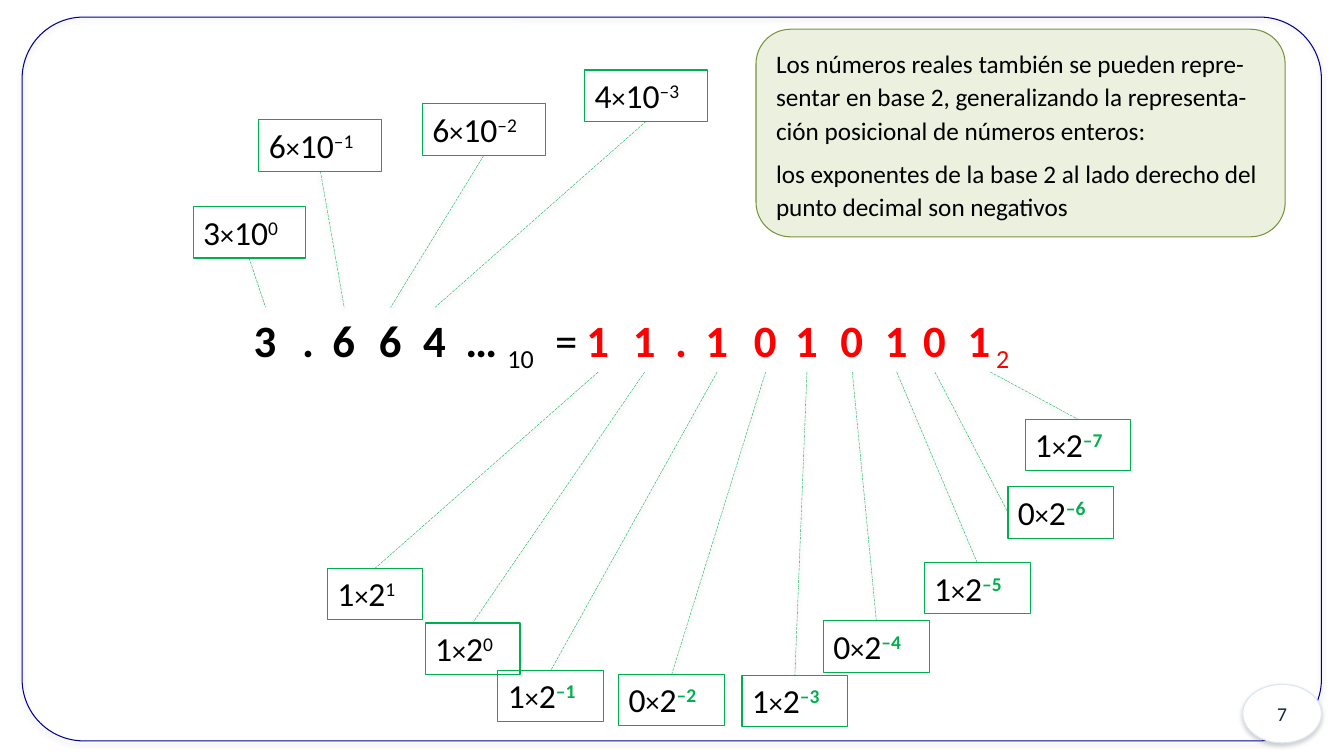
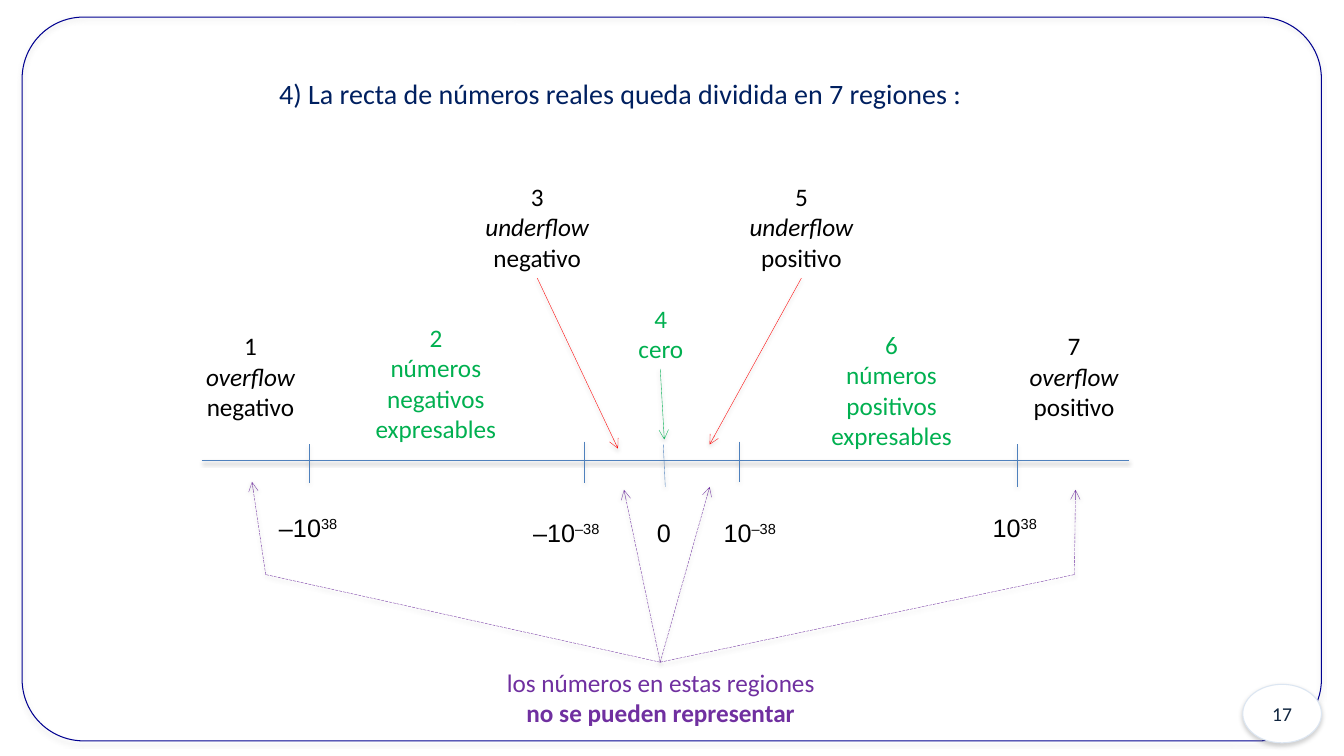
from dataclasses import dataclass

from lxml.etree import SubElement
from pptx import Presentation
from pptx.dml.color import RGBColor
from pptx.enum.dml import MSO_LINE
from pptx.enum.shapes import MSO_CONNECTOR, MSO_SHAPE
from pptx.enum.text import MSO_ANCHOR, MSO_AUTO_SIZE, PP_ALIGN
from pptx.oxml.ns import qn
from pptx.util import Pt


@dataclass(frozen=True)
class Theme:
    """Colours, fonts, type sizes and line weights of the deck."""

    black: str = "000000"
    white: str = "FFFFFF"
    red: str = "FF0000"
    green: str = "00B050"
    purple: str = "7030A0"
    axis: str = "4F81BD"
    frame: str = "000090"
    badge_line: str = "DCE6F2"
    badge_text: str = "10253F"
    title: str = "002060"
    note_fill: str = "EBF1DE"
    note_line: str = "77933C"
    font: str = "Calibri"
    scale_font: str = "Arial"
    digit_size: int = 32
    term_size: int = 24
    title_size: int = 20
    times_size: int = 20
    body_size: int = 18
    badge_size: int = 14
    outline: float = 0.75
    hairline: float = 0.25
    frame_shadow: tuple = ("808080", 35, 3.1, 1.8)
    line_shadow: tuple = ("000000", 38, 3.1, 1.6)


@dataclass(frozen=True)
class Box:
    """A region in points, with conversion from inner to slide positions."""

    left: float
    top: float
    width: float
    height: float

    def point(self, x, y):
        """Return an inner point as slide lengths."""
        return Pt(self.left + x), Pt(self.top + y)

    def place(self, left, top, width, height):
        """Return an inner rectangle as slide lengths."""
        return *self.point(left, top), Pt(width), Pt(height)

    def whole(self):
        """Return the region itself as slide lengths."""
        return self.place(0, 0, self.width, self.height)


THEME = Theme()
SLIDE = Box(0, 0, 960, 540)
FRAME = Box(15.8, 12.2, 928.1, 517)
NOTE = Box(540, 20.9, 378, 148.3)
TITLE = Box(192.2, 51.1, 506.9, 31.7)
EXPANSION = Box(138, 50, 676, 473)
NUMBER_LINE = Box(144, 126, 662.4, 398)
TOP, LEFT, BOTTOM = 0, 1, 2
LINE_HEIGHT, TEXT_INSET = 21.6, 7.2


def apply_format(target, values):
    """Set every attribute named in a dict of values."""
    for name, value in values.items():
        setattr(target, name, value)


def add_run(paragraph, text, size, color=THEME.black, baseline=0, **values):
    """Add a formatted run, raised or lowered by a baseline percentage."""
    run = paragraph.add_run()
    run.text = text
    apply_format(run.font, {"name": THEME.font, "size": Pt(size), **values})
    run.font.color.rgb = RGBColor.from_string(color)
    if baseline:
        run.font._element.set("baseline", str(baseline * 1000))


def write(shape, lines, align=PP_ALIGN.LEFT, **values):
    """Fill a shape with lines, each a list of (text, size, format) runs."""
    frame = shape.text_frame
    apply_format(frame, {
        "word_wrap": False,
        "auto_size": MSO_AUTO_SIZE.SHAPE_TO_FIT_TEXT,
        "vertical_anchor": MSO_ANCHOR.TOP,
        **values,
    })
    for index, runs in enumerate(lines):
        paragraph = frame.add_paragraph() if index else frame.paragraphs[0]
        paragraph.alignment = align
        for text, size, run_format in runs:
            add_run(paragraph, text, size, **run_format)
    return shape


def add_shadow(shape, color, opacity, blur, distance):
    """Give a shape a soft shadow that falls straight down."""
    properties = shape._element.spPr
    effects = properties.find(qn("a:effectLst"))
    if effects is None:
        effects = SubElement(properties, qn("a:effectLst"))
    shadow = SubElement(effects, qn("a:outerShdw"), {
        "blurRad": str(Pt(blur)), "dist": str(Pt(distance)),
        "dir": "5400000", "rotWithShape": "0",
    })
    tint = SubElement(shadow, qn("a:srgbClr"), val=color)
    SubElement(tint, qn("a:alpha"), val=str(opacity * 1000))


def add_panel(slide, kind, place, line, fill=None):
    """Add an outlined preset shape without a shadow."""
    shape = slide.shapes.add_shape(kind, *place)
    shape.shadow.inherit = False
    shape.line.color.rgb = RGBColor.from_string(line)
    shape.line.width = Pt(THEME.outline)
    if fill:
        shape.fill.solid()
        shape.fill.fore_color.rgb = RGBColor.from_string(fill)
    else:
        shape.fill.background()
    return shape


def add_line(slide, start, end, color, dashed=False, arrow=False):
    """Add a shadowed hairline between two slide points."""
    connector = slide.shapes.add_connector(MSO_CONNECTOR.STRAIGHT, *start, *end)
    connector.line.color.rgb = RGBColor.from_string(color)
    connector.line.width = Pt(THEME.hairline)
    if dashed:
        connector.line.dash_style = MSO_LINE.LONG_DASH
    if arrow:
        SubElement(connector.line._get_or_add_ln(), qn("a:tailEnd"), type="arrow")
    add_shadow(connector, *THEME.line_shadow)
    return connector


def draw_frame(slide, box, number):
    """Draw the rounded border and the page number badge."""
    border = add_panel(slide, MSO_SHAPE.ROUNDED_RECTANGLE, box.whole(), THEME.frame)
    border.adjustments[0] = 0.085
    width, height = 56.2, 41.8
    place = box.place(box.width - width, box.height - height + 1.4, width, height)
    badge = add_panel(slide, MSO_SHAPE.OVAL, place, THEME.badge_line, THEME.white)
    write(badge, [[(str(number), THEME.badge_size, {"color": THEME.badge_text})]],
          PP_ALIGN.CENTER, auto_size=MSO_AUTO_SIZE.NONE,
          vertical_anchor=MSO_ANCHOR.MIDDLE)
    for shape in (border, badge):
        add_shadow(shape, *THEME.frame_shadow)


def draw_note(slide, box, texts):
    """Draw the rounded explanatory note."""
    note = add_panel(slide, MSO_SHAPE.ROUNDED_RECTANGLE, box.whole(),
                     THEME.note_line, THEME.note_fill)
    write(note, [[(text, THEME.body_size, {})] for text in texts], word_wrap=True)
    for index, paragraph in enumerate(note.text_frame.paragraphs):
        apply_format(paragraph, {"line_spacing": 1.12, "space_before": Pt(6 * index)})


def draw_term(slide, box, left, top, digit, base, exponent):
    """Draw one boxed product of a digit and a power of the base."""
    negative = exponent.startswith("–")
    width = 67.7 + 12.2 * (base == "10") + 7.9 * negative
    power = {"baseline": 30}
    if negative and base == "2":
        power.update(color=THEME.green, bold=True)
    term = add_panel(slide, MSO_SHAPE.RECTANGLE, box.place(left, top, width, 36.7),
                     THEME.green)
    return write(term, [[(digit, THEME.term_size, {}), ("×", THEME.times_size, {}),
                         (base, THEME.term_size, {}),
                         (exponent, THEME.term_size, power)]])


def draw_expansion(slide, box):
    """Draw a number in bases 10 and 2 with the value of each digit."""
    decimal = [
        ("3", 36.2, (0, 97.6, "0")), (".", 70.8, None),
        ("6", 92.4, (47, 35.7, "–1")), ("6", 125.5, (163.7, 24.2, "–2")),
        ("4", 157.2, (279.6, 0, "–3")), ("… ", 187.4, None),
    ]
    binary = [
        ("1", 273.8, (96, 356, "1")), ("1", 307, (165.8, 395, "0")),
        (".", 337.2, None), ("1", 358.8, (217.7, 428.8, "–1")),
        ("0", 393.4, (304, 431.7, "–2")), ("1", 422.9, (392, 432.4, "–3")),
        ("0", 455.3, (450.2, 393.5, "–4")), ("1", 487, (522.2, 351.8, "–5")),
        ("0", 514.3, (582, 297.8, "–6")), ("1", 546, (594.2, 249.5, "–7")),
    ]
    widths = {".": 23, "… ": 67}
    row_top, row_height, digit_width = 169.6, 46.1, 31
    equals = slide.shapes.add_textbox(*box.place(251.5, row_top, digit_width, row_height))
    write(equals, [[("=", THEME.digit_size, {})]])
    for digits, base, subscript, color in ((decimal, "10", "10", THEME.black),
                                           (binary, "2", " 2", THEME.red)):
        for index, (text, left, term_spec) in enumerate(digits):
            last = index == len(digits) - 1
            width = widths.get(text, 46.8 if last else digit_width)
            runs = [(text, THEME.digit_size, {"color": color, "bold": True})]
            if last:
                runs.append((subscript, THEME.digit_size, {"color": color, "baseline": -25}))
            digit = slide.shapes.add_textbox(*box.place(left, row_top, width, row_height))
            write(digit, [runs])
            if term_spec is None:
                continue
            term_left, term_top, exponent = term_spec
            term = draw_term(slide, box, term_left, term_top, text, base, exponent)
            link = add_line(slide, box.point(0, 0), box.point(0, 0), THEME.green, True)
            if base == "10":
                link.begin_connect(term, BOTTOM)
                link.end_connect(digit, TOP)
            else:
                link.begin_connect(digit, BOTTOM)
                link.end_connect(term, LEFT if exponent == "–6" else TOP)


def draw_title(slide, box, text):
    """Move, format and fill the title placeholder."""
    title = slide.shapes.title
    left, top, width, height = box.whole()
    apply_format(title, {"left": left, "top": top, "width": width, "height": height})
    write(title, [[(text, THEME.title_size, {"color": THEME.title})]])


def draw_number_line(slide, box):
    """Draw the axis, its scale, the seven regions and their arrows."""
    axis_top = 203
    add_line(slide, box.point(0, axis_top), box.point(box.width, axis_top), THEME.axis)
    for start_x, start_y, end_x, end_y in (
            (77, 191.5, 77, 218.9), (273.6, 189.4, 273.6, 218.9),
            (329.8, 191.5, 331.2, 221.8), (383.8, 189.4, 383.8, 218.2),
            (582.5, 191.5, 582.5, 221.8)):
        add_line(slide, box.point(start_x, start_y), box.point(end_x, end_y), THEME.axis)

    for left, top, width, value, exponent in (
            (48.2, 236.2, 58.3, "–10", "38"), (229.7, 239.8, 64.8, "–10", "–38"),
            (318.2, 239.8, 24.5, "0", ""), (365.8, 239.8, 54.7, "10", "–38"),
            (558, 236.2, 48.2, "10", "38")):
        label = slide.shapes.add_textbox(*box.place(left, top, width, 28.8))
        runs = [(value, THEME.body_size, {"name": THEME.scale_font})]
        if exponent:
            runs.append((exponent, THEME.body_size,
                         {"name": THEME.scale_font, "baseline": 30}))
        write(label, [runs])

    for left, top, width, color, lines in (
            (-4.3, 106.6, 78.5, THEME.black, ("1", "overflow", "negativo")),
            (116.6, 100.8, 101.5, THEME.green,
             ("2", "números", "negativos", "expresables")),
            (195.1, 0, 89.3, THEME.black, ("3", "underflow", "negativo")),
            (304.6, 87.1, 46.8, THEME.green, ("4", "cero")),
            (383.8, 0, 89.3, THEME.black, ("5", "underflow", "positivo")),
            (442.1, 105.8, 101.5, THEME.green,
             ("6", "números", "positivos", "expresables")),
            (583.9, 106.6, 78.5, THEME.black, ("7", "overflow", "positivo")),
            (209.5, 347, 236.9, THEME.purple,
             ("los números en estas regiones", "no se pueden representar"))):
        height = len(lines) * LINE_HEIGHT + TEXT_INSET
        label = slide.shapes.add_textbox(*box.place(left, top, width, height))
        write(label, [[(line, THEME.body_size, {
            "color": color, "italic": line.endswith("flow"),
            "bold": line.startswith("no se")})] for line in lines], PP_ALIGN.CENTER)

    hub = (327.6, 347)
    for start, end, color, dashed, arrow in (
            ((239.8, 72.7), (297.4, 194.4), THEME.red, False, True),
            ((428.4, 72.7), (362.9, 191.5), THEME.red, False, True),
            ((327.6, 137.5), (330.5, 187.9), THEME.green, False, True),
            (hub, (362.9, 221.8), THEME.purple, True, True),
            (hub, (301.7, 223.9), THEME.purple, True, True),
            (hub, (623.5, 284.4), THEME.purple, True, False),
            (hub, (45.8, 284.4), THEME.purple, True, False),
            ((623.5, 284.4), (624.2, 223.9), THEME.purple, True, True),
            ((45.8, 284.4), (36, 218.2), THEME.purple, True, True)):
        add_line(slide, box.point(*start), box.point(*end), color, dashed, arrow)


def main():
    """Build and save the presentation."""
    presentation = Presentation()
    apply_format(presentation, {"slide_width": Pt(SLIDE.width),
                                "slide_height": Pt(SLIDE.height)})
    title_only, blank = presentation.slide_layouts[5], presentation.slide_layouts[6]

    slide = presentation.slides.add_slide(blank)
    draw_frame(slide, FRAME, 7)
    draw_expansion(slide, EXPANSION)
    draw_note(slide, NOTE, (
        "Los números reales también se pueden repre-sentar en base 2, generalizando "
        "la representa-ción posicional de números enteros:",
        "los exponentes de la base 2 al lado derecho del punto decimal son negativos",
    ))

    slide = presentation.slides.add_slide(title_only)
    draw_frame(slide, FRAME, 17)
    draw_title(slide, TITLE, "4) La recta de números reales queda dividida en 7 regiones :")
    draw_number_line(slide, NUMBER_LINE)

    presentation.save("out.pptx")


if __name__ == "__main__":
    main()
